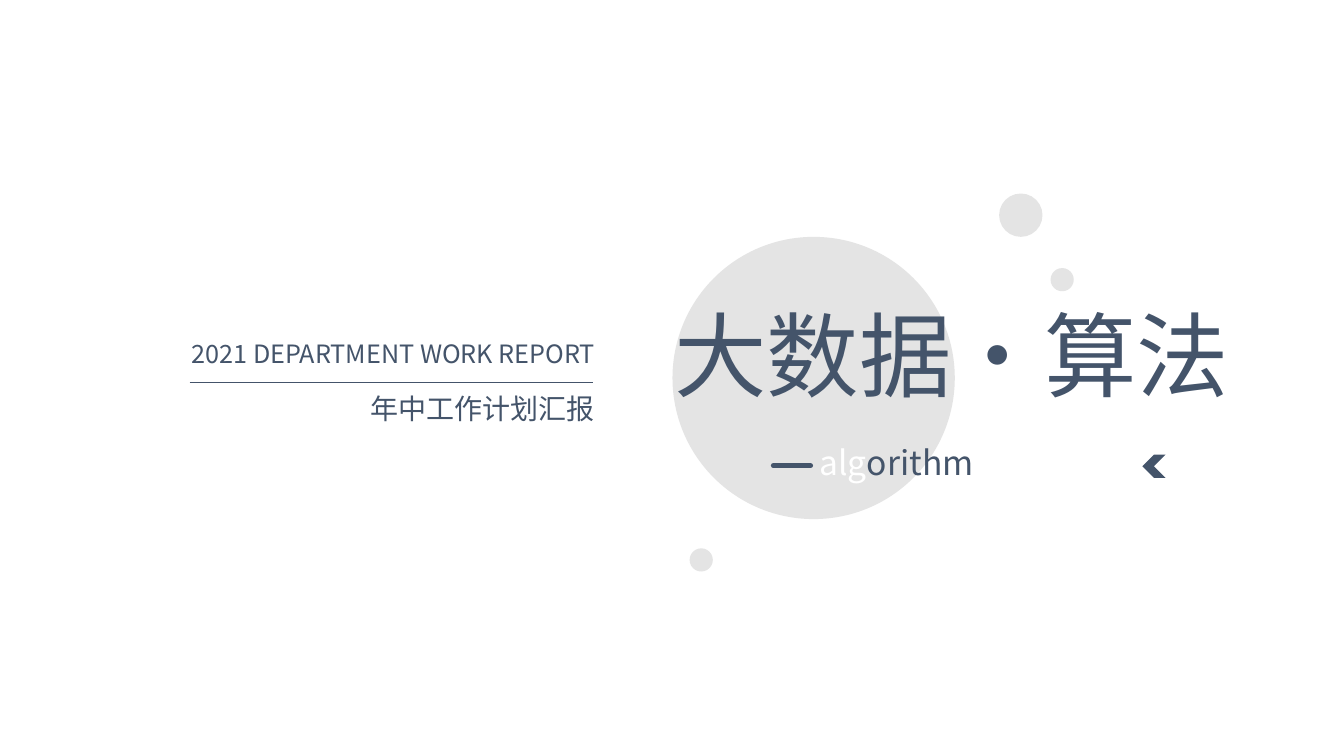
from dataclasses import dataclass

from lxml.etree import SubElement
from pptx import Presentation
from pptx.dml.color import RGBColor
from pptx.enum.shapes import MSO_CONNECTOR, MSO_SHAPE
from pptx.enum.text import MSO_ANCHOR, MSO_AUTO_SIZE, PP_ALIGN
from pptx.oxml.ns import qn
from pptx.util import Inches, Pt


@dataclass(frozen=True)
class Theme:
    navy: str = "44546A"
    gray: str = "D9D9D9"
    white: str = "FFFFFF"
    font: str = "Noto Sans CJK SC"
    title: int = 66
    english: int = 24
    report: int = 18
    subtitle: int = 20
    bubble_opacity: int = 70


theme = Theme()

# Content: each text is a list of (words, colour) runs
TITLE = [("大数据·算法", theme.navy)]
ENGLISH = [("alg", theme.white), ("orithm", theme.navy)]
REPORT = [("2021 DEPARTMENT WORK REPORT", theme.navy)]
SUBTITLE = [("年中工作计划汇报", theme.navy)]

# Left, top, width, height in inches
TITLE_BOX = (6.59, 3.03, 6.36, 1.21)
ENGLISH_BOX = (8.03, 4.38, 3.27, 0.5)
REPORT_BOX = (1.54, 3.34, 4.46, 0.4)
SUBTITLE_BOX = (2.45, 3.87, 3.55, 0.44)
CHEVRON_BOX = (11.33, 4.51, 0.23, 0.23)

# Left, top, diameter
BUBBLES = [(6.67, 2.35, 2.8), (9.91, 1.92, 0.43),
           (10.42, 2.66, 0.23), (6.84, 5.44, 0.23)]
# Left, right, height on the slide, weight, line cap
RULES = [(1.88, 5.88, 3.79, 0.5, "flat"), (7.67, 8.04, 4.62, 3.5, "rnd")]


def add_filled(slide, kind, box, color):
    shape = slide.shapes.add_shape(kind, *map(Inches, box))
    shape.shadow.inherit = False
    shape.fill.solid()
    shape.fill.fore_color.rgb = RGBColor.from_string(color)
    shape.line.fill.background()
    return shape


def add_bubble(slide, left, top, diameter):
    box = (left, top, diameter, diameter)
    shape = add_filled(slide, MSO_SHAPE.FLOWCHART_CONNECTOR, box, theme.gray)
    color = shape.fill._xPr.find(".//" + qn("a:srgbClr"))
    SubElement(color, qn("a:alpha")).set("val", str(theme.bubble_opacity * 1000))


def add_rule(slide, left, right, y, weight, cap):
    line = slide.shapes.add_connector(
        MSO_CONNECTOR.STRAIGHT, *map(Inches, (left, y, right, y)))
    line.line.color.rgb = RGBColor.from_string(theme.navy)
    line.line.width = Pt(weight)
    line.line._ln.set("cap", cap)
    SubElement(line._element.spPr, qn("a:effectLst"))


def write(shape, box, runs, size, alignment, wrap=True):
    shape.left, shape.top, shape.width, shape.height = map(Inches, box)
    frame = shape.text_frame
    frame.word_wrap = wrap
    frame.auto_size = MSO_AUTO_SIZE.SHAPE_TO_FIT_TEXT
    frame.vertical_anchor = MSO_ANCHOR.TOP
    paragraph = frame.paragraphs[0]
    paragraph.alignment = alignment
    paragraph.space_before = Pt(0)
    paragraph.line_spacing = 0.9
    for words, color in runs:
        run = paragraph.add_run()
        run.text = words
        run.font.size = Pt(size)
        run.font.name = theme.font
        run.font.color.rgb = RGBColor.from_string(color)
        SubElement(run.font._element, qn("a:ea")).set("typeface", theme.font)


def main():
    presentation = Presentation()
    presentation.slide_width = Inches(13.33)
    presentation.slide_height = Inches(7.5)
    slide = presentation.slides.add_slide(presentation.slide_layouts[0])
    title, subtitle = slide.placeholders

    # Bubbles, rules and chevron
    for bubble in BUBBLES:
        add_bubble(slide, *bubble)
    for rule in RULES:
        add_rule(slide, *rule)
    chevron = add_filled(slide, MSO_SHAPE.CHEVRON, CHEVRON_BOX, theme.navy)
    chevron.rotation = 180

    # Placeholders go in front of the bubbles
    for placeholder in (title, subtitle):
        slide.shapes._spTree.append(placeholder._element)
    write(title, TITLE_BOX, TITLE, theme.title, PP_ALIGN.LEFT)
    write(subtitle, SUBTITLE_BOX, SUBTITLE, theme.subtitle, PP_ALIGN.RIGHT)

    # English captions
    english = slide.shapes.add_textbox(*map(Inches, ENGLISH_BOX))
    write(english, ENGLISH_BOX, ENGLISH, theme.english, PP_ALIGN.JUSTIFY)
    report = slide.shapes.add_textbox(*map(Inches, REPORT_BOX))
    write(report, REPORT_BOX, REPORT, theme.report, PP_ALIGN.RIGHT, wrap=False)

    presentation.save("out.pptx")


if __name__ == "__main__":
    main()
